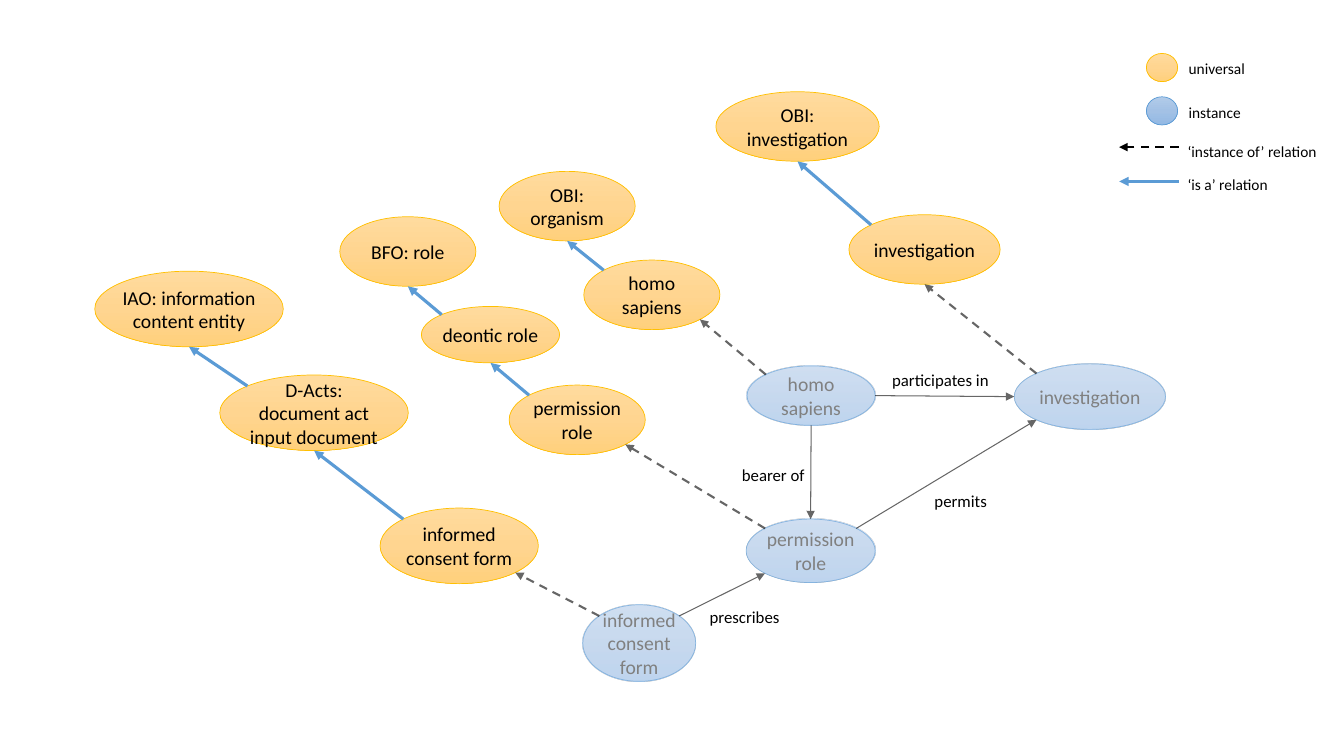
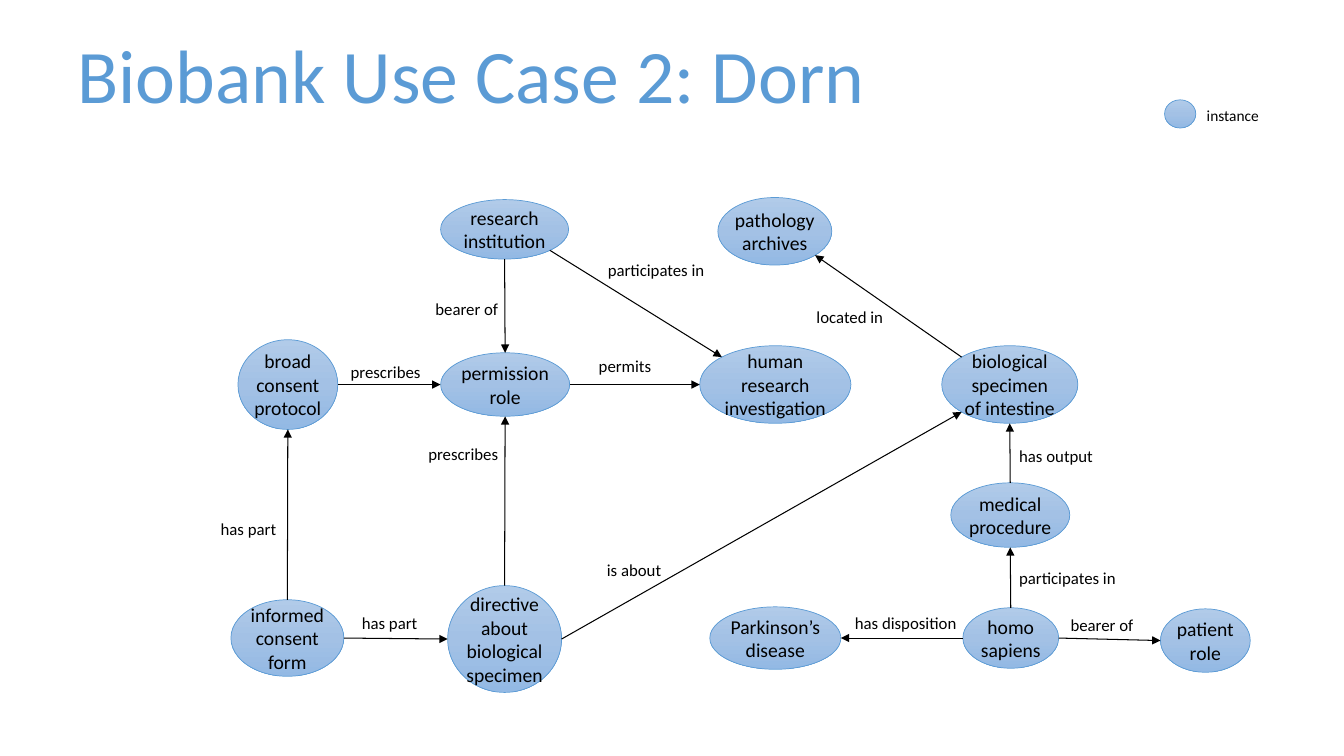
"""Draw two ontology diagrams: a consent form model and a biobank use case."""
import math
import typing

import lxml.etree
import pptx
import pptx.dml.color
import pptx.enum.dml
import pptx.enum.shapes
import pptx.enum.text
import pptx.oxml.ns
import pptx.util

Inches = pptx.util.Inches
COLORS = {"black": "000000", "grey": "808080", "blue": "5B9BD5", "gold": "FFC000"}
GRADIENTS = {"blue": ("B1CBE9", "A3C1E5", "93B9E4"), "gold": ("FFDB9E", "FFD590", "FFD07C")}
NO_INSETS = {"margin_left": 0, "margin_top": 0, "margin_right": 0, "margin_bottom": 0}
DIAGONAL = math.sqrt(0.5)
SITES = {
    "top": (0, -1), "left": (-1, 0), "bottom": (0, 1), "right": (1, 0),
    "top left": (-DIAGONAL, -DIAGONAL), "top right": (DIAGONAL, -DIAGONAL),
    "bottom left": (-DIAGONAL, DIAGONAL), "bottom right": (DIAGONAL, DIAGONAL),
}


class Kind(typing.NamedTuple):
    color: str
    text: str = "black"
    opacity: int = 100


class Arrow(typing.NamedTuple):
    color: str
    width: float
    dashed: bool = False
    opacity: int = 100


class Node(typing.NamedTuple):
    text: str
    x: float
    y: float
    w: float
    h: float
    kind: Kind

    def site(self, name: str) -> tuple[float, float]:
        dx, dy = SITES[name]
        return self.x + self.w / 2 * (1 + dx), self.y + self.h / 2 * (1 + dy)


class Edge(typing.NamedTuple):
    start: str
    start_site: str
    end: str
    end_site: str
    arrow: Arrow


class Label(typing.NamedTuple):
    text: str
    x: float
    y: float
    w: float
    h: float = 0.3
    size: float = 12
    color: str = "black"
    wrap: bool = False


UNIVERSAL = Kind("gold")
INSTANCE = Kind("blue")
FADED = Kind("blue", "grey", 60)
IS_A = Arrow("blue", 2.25)
INSTANCE_OF = Arrow("black", 1.5, True)
FADED_INSTANCE_OF = INSTANCE_OF._replace(opacity=60)
RELATION = Arrow("black", 0.75)
FADED_RELATION = RELATION._replace(opacity=60)

CONSENT_NODES = {
    "form": Node("informed consent form", 5.78, 6, 1.12, 0.76, FADED),
    "person": Node("homo sapiens", 7.41, 3.63, 1.27, 0.59, FADED),
    "permission": Node("permission role", 7.4, 5.15, 1.28, 0.63, FADED),
    "study": Node("investigation", 10.06, 3.61, 1.5, 0.65, FADED),
    "Deontic": Node("deontic role", 4.18, 3.04, 1.37, 0.56, UNIVERSAL),
    "Person": Node("homo sapiens", 5.79, 2.58, 1.35, 0.69, UNIVERSAL),
    "Form": Node("informed consent form", 3.77, 5.04, 1.57, 0.75, UNIVERSAL),
    "Study": Node("investigation", 8.42, 2.13, 1.5, 0.69, UNIVERSAL),
    "Content": Node("IAO: information content entity", 0.94, 2.69, 1.87, 0.75, UNIVERSAL),
    "Role": Node("BFO: role", 3.37, 2.15, 1.35, 0.69, UNIVERSAL),
    "Document": Node("D-Acts: document act input document", 2.18, 3.72, 1.87, 0.75, UNIVERSAL),
    "Organism": Node("OBI: organism", 4.95, 1.7, 1.35, 0.69, UNIVERSAL),
    "OBI study": Node("OBI: investigation", 7.1, 0.91, 1.62, 0.69, UNIVERSAL),
    "Permission": Node("permission role", 5.05, 3.82, 1.35, 0.69, UNIVERSAL),
}
CONSENT_EDGES = [
    Edge("permission", "top right", "study", "bottom left", FADED_RELATION),
    Edge("person", "bottom", "permission", "top", FADED_RELATION),
    Edge("form", "top right", "permission", "bottom left", FADED_RELATION),
    Edge("person", "right", "study", "left", FADED_RELATION),
    Edge("study", "top left", "Study", "bottom", FADED_INSTANCE_OF),
    *(Edge(name, "top left", name.capitalize(), "bottom right", FADED_INSTANCE_OF)
      for name in ("person", "permission", "form")),
    *(Edge(child, "top left", parent, "bottom", IS_A) for child, parent in (
        ("Study", "OBI study"), ("Person", "Organism"), ("Deontic", "Role"),
        ("Document", "Content"), ("Form", "Document"), ("Permission", "Deontic"))),
]
CONSENT_LABELS = [
    Label("participates in", 8.75, 3.62, 1.17),
    Label("permits", 9.17, 4.82, 0.73),
    Label("bearer of", 7.26, 4.56, 0.83),
    Label("prescribes", 6.94, 5.97, 0.9),
    Label("‘instance of’ relation", 11.68, 1.36, 1.49, 0.29, 11),
    Label("‘is a’ relation", 11.68, 1.69, 1, 0.29, 11),
]

BIOBANK_NODES = {
    "specimen": Node("biological specimen of intestine", 9.34, 3.43, 1.35, 0.77, INSTANCE),
    "archives": Node("pathology archives", 7.12, 1.96, 1.13, 0.67, INSTANCE),
    "disease": Node("Parkinson’s disease", 7.04, 6.02, 1.3, 0.62, INSTANCE),
    "form": Node("informed consent form", 2.29, 5.95, 1.12, 0.76, INSTANCE),
    "institution": Node("research institution", 4.37, 1.98, 1.27, 0.59, INSTANCE),
    "permission": Node("permission role", 4.37, 3.5, 1.28, 0.63, INSTANCE),
    "study": Node("human research investigation", 6.94, 3.43, 1.5, 0.77, INSTANCE),
    "protocol": Node("broad consent protocol", 2.36, 3.37, 0.99, 0.89, INSTANCE),
    "person": Node("homo sapiens", 9.55, 6.03, 0.95, 0.6, INSTANCE),
    "directive": Node("directive about biological specimen", 4.44, 5.81, 1.13, 1.06, INSTANCE),
    "procedure": Node("medical procedure", 9.43, 4.79, 1.18, 0.64, INSTANCE),
    "patient": Node("patient role", 11.51, 6.04, 0.89, 0.63, INSTANCE),
}
BIOBANK_EDGES = [Edge(*ends, RELATION) for ends in (
    ("specimen", "top left", "archives", "bottom right"),
    ("permission", "right", "study", "left"),
    ("institution", "bottom", "permission", "top"),
    ("form", "top", "protocol", "bottom"),
    ("protocol", "right", "permission", "left"),
    ("institution", "bottom right", "study", "top left"),
    ("person", "top", "procedure", "bottom"),
    ("person", "left", "disease", "right"),
    ("form", "right", "directive", "left"),
    ("directive", "top", "permission", "bottom"),
    ("directive", "right", "specimen", "bottom left"),
    ("procedure", "top", "specimen", "bottom"),
    ("person", "right", "patient", "left"),
)]
BIOBANK_LABELS = [
    Label("Biobank Use Case 2: Dorn", 0.67, 0.23, 8.38, 1.01, 54, "blue", True),
    Label("located in", 8, 2.99, 0.87),
    Label("participates in", 5.93, 2.53, 1.17),
    Label("permits", 5.84, 3.48, 0.73),
    Label("bearer of", 4.22, 2.91, 0.83),
    Label("prescribes", 3.38, 3.54, 0.9),
    Label("has part", 3.49, 6.03, 0.76),
    Label("has output", 10.01, 4.37, 0.94),
    Label("has disposition", 8.38, 6.03, 1.22),
    Label("has part", 2.09, 5.1, 0.76),
    Label("is about", 5.92, 5.5, 0.75),
    Label("prescribes", 4.15, 4.35, 0.9),
    Label("participates in", 10.01, 5.58, 1.17),
    Label("bearer of", 10.52, 6.05, 0.83),
]


def rgb(name: str) -> pptx.dml.color.RGBColor:
    return pptx.dml.color.RGBColor.from_string(COLORS[name])


def set_all(obj: typing.Any, values: dict[str, typing.Any]) -> None:
    for name, value in values.items():
        setattr(obj, name, value)


def add_element(parent: typing.Any, tag: str, **attributes: str) -> typing.Any:
    return lxml.etree.SubElement(parent, pptx.oxml.ns.qn(tag), attributes)


def set_opacity(sp: typing.Any, percent: int) -> None:
    if percent < 100:
        for color in list(sp.element.spPr.iter(pptx.oxml.ns.qn("a:srgbClr"))):
            add_element(color, "a:alpha", val=str(percent * 1000))


def set_line(sp: typing.Any, color: str, width: float) -> None:
    sp.line.color.rgb = rgb(color)
    sp.line.width = pptx.util.Pt(width)


def write(tf: typing.Any, text: str, size: float, color: str) -> typing.Any:
    p = tf.paragraphs[0]
    r = p.add_run()
    r.text = text
    set_all(r.font, {"name": "Calibri", "size": pptx.util.Pt(size)})
    r.font.color.rgb = rgb(color)
    return p


def draw_node(s: typing.Any, node: Node) -> None:
    sp = s.shapes.add_shape(pptx.enum.shapes.MSO_SHAPE.OVAL, Inches(node.x), Inches(node.y),
                            Inches(node.w), Inches(node.h))
    sp.shadow.inherit = False
    sp.fill.gradient()
    sp.fill.gradient_angle = 270
    stops = sp.element.spPr.find(".//" + pptx.oxml.ns.qn("a:gsLst"))
    for stop in list(stops):
        stops.remove(stop)
    for i, color in enumerate(GRADIENTS[node.kind.color]):
        add_element(add_element(stops, "a:gs", pos=str(i * 50000)), "a:srgbClr", val=color)
    set_line(sp, node.kind.color, 0.5)
    set_opacity(sp, node.kind.opacity)
    if node.text:
        tf = sp.text_frame
        set_all(tf, {**NO_INSETS, "word_wrap": True,
                     "vertical_anchor": pptx.enum.text.MSO_ANCHOR.MIDDLE})
        p = write(tf, node.text, 14, node.kind.text)
        p.alignment = pptx.enum.text.PP_ALIGN.CENTER


def draw_arrow(s: typing.Any, start: tuple[float, float], end: tuple[float, float],
               arrow: Arrow) -> None:
    sp = s.shapes.add_connector(pptx.enum.shapes.MSO_CONNECTOR.STRAIGHT,
                                *(Inches(v) for v in (*start, *end)))
    set_line(sp, arrow.color, arrow.width)
    if arrow.dashed:
        sp.line.dash_style = pptx.enum.dml.MSO_LINE.DASH
    set_opacity(sp, arrow.opacity)
    add_element(sp.element.spPr.find(pptx.oxml.ns.qn("a:ln")), "a:tailEnd", type="triangle")
    add_element(sp.element.spPr, "a:effectLst")


def draw_label(s: typing.Any, label: Label) -> None:
    sp = s.shapes.add_textbox(Inches(label.x), Inches(label.y), Inches(label.w), Inches(label.h))
    set_all(sp.text_frame, {"word_wrap": label.wrap,
                            "auto_size": pptx.enum.text.MSO_AUTO_SIZE.SHAPE_TO_FIT_TEXT})
    write(sp.text_frame, label.text, label.size, label.color)


def draw_key(s: typing.Any, text: str, x: float, y: float, w: float, kind: Kind) -> None:
    draw_node(s, Node("", x, y, 0.31, 0.28, kind))
    draw_label(s, Label(text, x + 0.32, y + 0.01, w, 0.29, 11))


def draw_diagram(prs: typing.Any, nodes: dict[str, Node], edges: list[Edge],
                 labels: list[Label]) -> typing.Any:
    s = prs.slides.add_slide(prs.slide_layouts[6])
    for node in nodes.values():
        draw_node(s, node)
    for edge in edges:
        draw_arrow(s, nodes[edge.start].site(edge.start_site),
                   nodes[edge.end].site(edge.end_site), edge.arrow)
    for label in labels:
        draw_label(s, label)
    return s


def main() -> None:
    prs = pptx.Presentation()
    set_all(prs, {"slide_width": Inches(13.33), "slide_height": Inches(7.5)})
    s = draw_diagram(prs, CONSENT_NODES, CONSENT_EDGES, CONSENT_LABELS)
    draw_key(s, "universal", 11.37, 0.53, 0.77, UNIVERSAL)
    draw_key(s, "instance", 11.37, 0.96, 0.72, INSTANCE)
    for y, arrow in ((1.46, INSTANCE_OF), (1.8, IS_A)):
        draw_arrow(s, (11.69, y), (11.1, y), arrow)
    s = draw_diagram(prs, BIOBANK_NODES, BIOBANK_EDGES, BIOBANK_LABELS)
    draw_key(s, "instance", 11.55, 0.99, 0.72, INSTANCE)
    prs.save("out.pptx")


if __name__ == "__main__":
    main()
